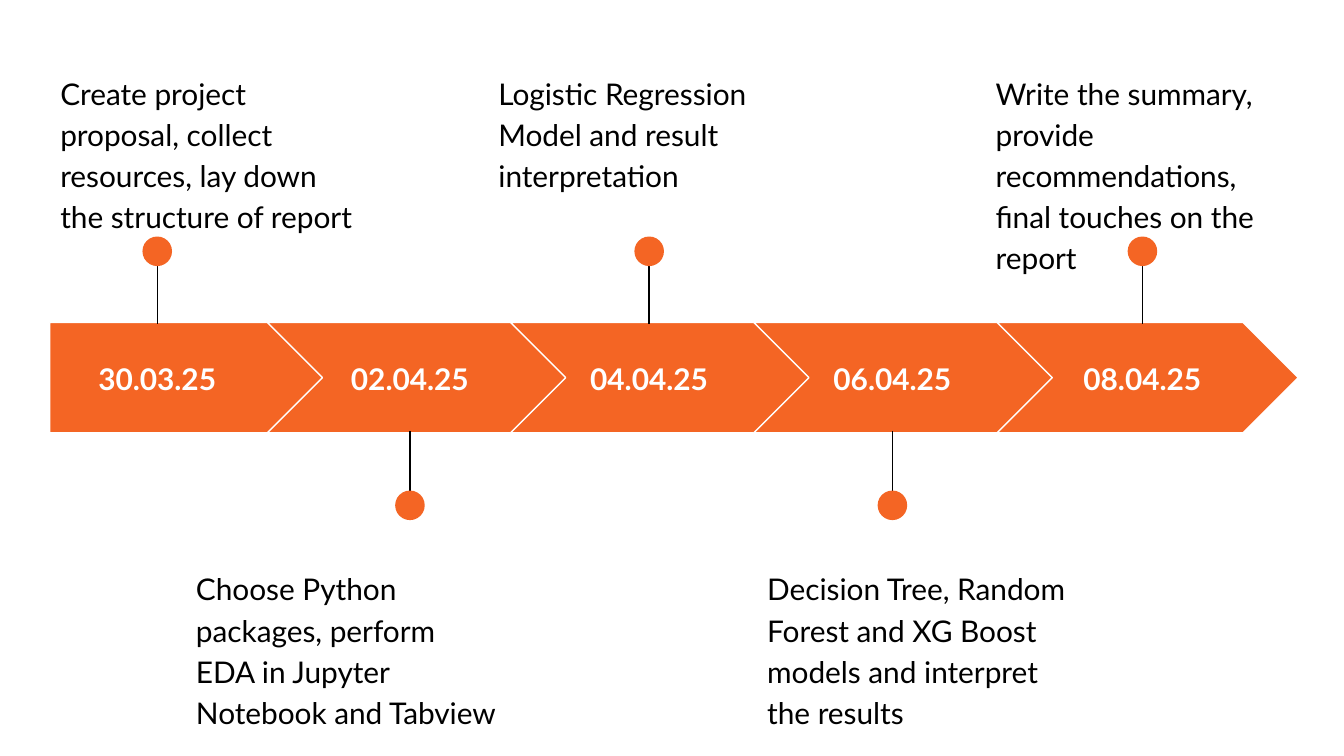
from pptx import Presentation
from pptx import util as u
from pptx.dml.color import RGBColor
from pptx.enum import shapes as s, text as t
from pptx.oxml.ns import qn
from lxml import etree

PX = u.Inches(1) // 100  # 100 px to the inch
ORANGE = RGBColor(0xF4, 0x65, 0x24)
WHITE = RGBColor(0xFF, 0xFF, 0xFF)
BLACK = RGBColor(0, 0, 0)
FONT = "Lato"

# Arrow band
TOP, HIGH = 240, 82
FIRST, STEP = 199, 181
DOT = 22

# Date, pin centre, note left, note
STEPS = [
    ("30.03.25", 117, 35, "Create project proposal, collect resources, "
     "lay down the structure of report"),
    ("02.04.25", 305, 136, "Choose Python packages, perform EDA in Jupyter "
     "Notebook and Tabview"),
    ("04.04.25", 483, 361, "Logistic Regression Model and result "
     "interpretation"),
    ("06.04.25", 664, 561, "Decision Tree, Random Forest and XG Boost models "
     "and interpret the results"),
    ("08.04.25", 850, 731, "Write the summary, provide recommendations, "
     "final touches on the report"),
]


def px(*nums):
    return [u.Emu(n * PX) for n in nums]


def add_text(slide, words, box, bold=False, color=BLACK, align=t.PP_ALIGN.LEFT,
             anchor=t.MSO_ANCHOR.TOP, space=None, after=0):
    frame = slide.shapes.add_textbox(*px(*box)).text_frame
    frame.word_wrap = True
    frame.vertical_anchor = anchor
    frame.margin_left = frame.margin_right = px(10)[0]
    frame.margin_top = frame.margin_bottom = px(10)[0]
    para = frame.paragraphs[0]
    para.alignment = align
    para.line_spacing = space
    para.space_after = u.Pt(after)
    run = para.add_run()
    run.text = words
    font = run.font
    font.name, font.size, font.bold = FONT, u.Pt(16), bold
    font.color.rgb = color


def add_solid(slide, kind, box, edge=None):
    shape = slide.shapes.add_shape(kind, *px(*box))
    shape.shadow.inherit = False
    shape.fill.solid()
    shape.fill.fore_color.rgb = ORANGE
    if edge is None:
        shape.line.fill.background()
    else:
        shape.line.color.rgb = edge
        shape.line.width = u.Pt(0.75)


def add_pin(slide, mid, above):
    start, end, dot = (180, 241, 176) if above else (382, 321, 365)
    line = slide.shapes.add_connector(s.MSO_CONNECTOR.STRAIGHT,
                                      *px(mid, start, mid, end))
    line.line.color.rgb = BLACK
    line.line.width = u.Pt(0.75)
    etree.SubElement(line.element.spPr, qn("a:effectLst"))
    add_solid(slide, s.MSO_SHAPE.OVAL, (mid - DOT // 2, dot, DOT, DOT))


def add_arrow(slide, num):
    if num == 0:
        kind, box = s.MSO_SHAPE.PENTAGON, (37, TOP, 205, HIGH)
    else:
        left = FIRST + (num - 1) * STEP
        kind, box = s.MSO_SHAPE.CHEVRON, (left, TOP, 224, HIGH)
    add_solid(slide, kind, box, edge=WHITE)


def add_step(slide, num, date, mid, left, note):
    above = num % 2 == 0
    wide = 144 if num else 160
    add_arrow(slide, num)
    add_text(slide, date, (mid - wide // 2, 256, wide, 51), bold=True,
             color=WHITE, align=t.PP_ALIGN.CENTER, anchor=t.MSO_ANCHOR.MIDDLE)
    add_pin(slide, mid, above)
    add_text(slide, note, (left, 42 if above else 411, 245, 99),
             space=1.15, after=16 if num < len(STEPS) - 1 else 0)


def main():
    deck = Presentation()
    # A wide 16:9 page
    deck.slide_width = px(1000)[0]
    deck.slide_height = deck.slide_width * 9 // 16
    slide = deck.slides.add_slide(deck.slide_layouts[6])
    for num, step in enumerate(STEPS):
        add_step(slide, num, *step)
    deck.save("out.pptx")


if __name__ == "__main__":
    main()
